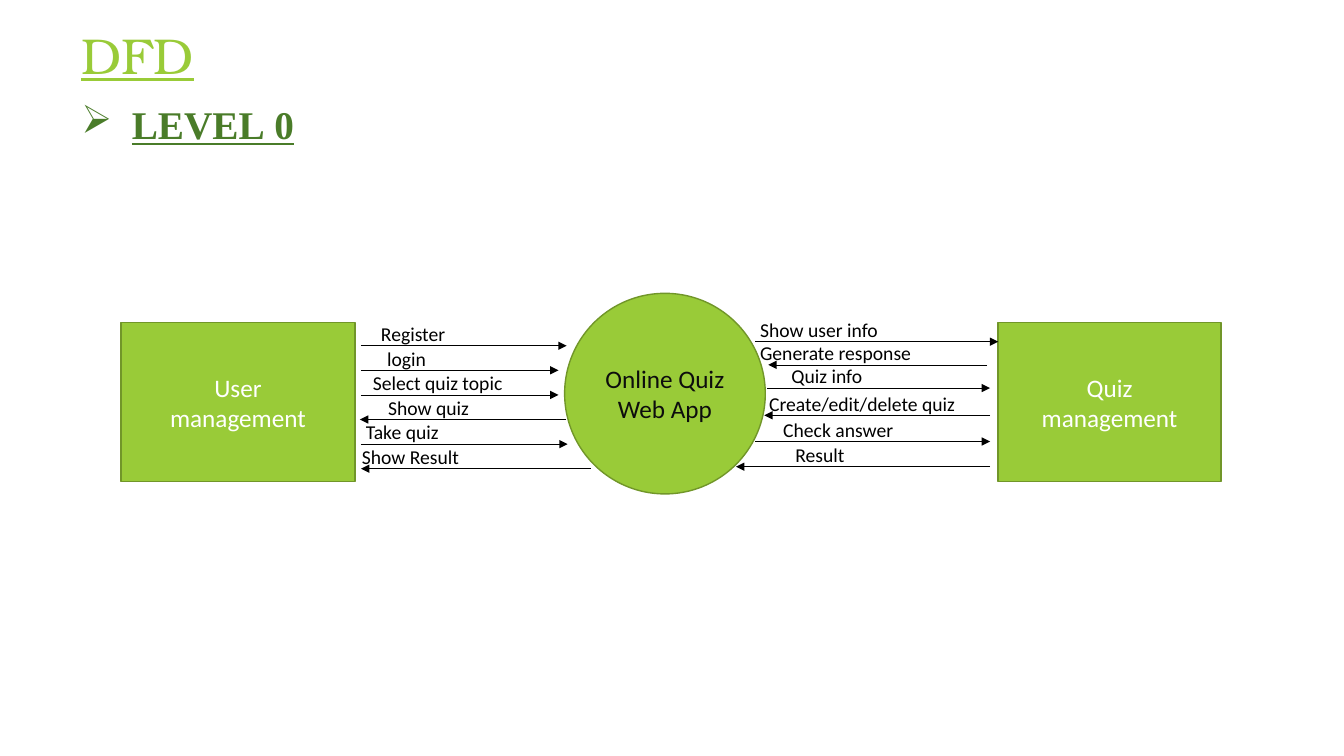
from dataclasses import dataclass
from typing import Any

from lxml.etree import SubElement
from pptx import Presentation
from pptx.dml.color import RGBColor
from pptx.enum.shapes import MSO_CONNECTOR as Connector, MSO_SHAPE as Preset
from pptx.enum.text import MSO_ANCHOR as Anchor, PP_ALIGN as Align
from pptx.oxml.ns import qn
from pptx.util import Inches, Pt

COLUMNS, ROWS = 133.3, 75  # square grid cells
CELL = Inches(0.1)
LABEL_HEIGHT, LABEL_RISE = 3.4, 2.85
LEFT_FIRST_ROW, LEFT_PITCH = 34.3, 2.44

LIME, LIME_EDGE, FOREST = "99CB38", "719629", "4A7C29"
BLACK, NEAR_BLACK, WHITE = "000000", "0D0D0D", "FFFFFF"


@dataclass(frozen=True)
class Area:
    column: float
    row: float
    width: float
    height: float


@dataclass(frozen=True)
class Node:
    lines: tuple[str, ...]
    preset: Preset
    area: Area
    text_color: str = WHITE


@dataclass(frozen=True)
class Flow:
    label: str
    row: float
    start: float
    end: float
    label_column: float
    label_width: float


LEFT_FLOWS = [
    Flow(label, LEFT_FIRST_ROW + index * LEFT_PITCH, *columns)
    for index, (label, *columns) in enumerate([
        ("Register", 35.8, 56.2, 36.8, 8.8),
        ("login", 35.8, 55.4, 37.4, 10.1),
        ("Select quiz topic", 35.8, 55.4, 36, 17.3),
        ("Show quiz", 56.1, 35.7, 37.5, 14.2),
        ("Take quiz", 35.8, 56.3, 35.3, 14.5),
        ("Show Result", 58.6, 35.8, 34.9, 14),
    ])
]
RIGHT_FLOWS = [
    Flow("Show user info", 33.9, 74.9, 99, 74.4, 14),
    Flow("Generate response", 36.2, 97.9, 76.2, 74.4, 18.2),
    Flow("Quiz info", 38.5, 76.1, 98.2, 77.5, 13.5),
    Flow("Create/edit/delete quiz", 41.2, 98.2, 75.8, 75.3, 21.3),
    Flow("Check answer", 43.8, 74.9, 98.2, 76.7, 17),
    Flow("Result", 46.3, 98.2, 73, 77.9, 12.4),
]
NODES = [
    Node(("Online Quiz Web App",), Preset.OVAL, Area(56, 29.1, 19.9, 19.9), NEAR_BLACK),
    Node(("User", "management"), Preset.RECTANGLE, Area(12, 32, 23.2, 15.8)),
    Node(("Quiz", "management"), Preset.RECTANGLE, Area(99, 32, 22.1, 15.8)),
]


def grid(cells: float) -> int:
    return round(cells * CELL)


def bounds(area: Area) -> tuple[int, ...]:
    return tuple(map(grid, (area.column, area.row, area.width, area.height)))


def rgb(color: str) -> RGBColor:
    return RGBColor.from_string(color)


def add_run(paragraph: Any, text: str, color: str, size: float, **font_format: Any) -> None:
    run = paragraph.add_run()
    run.text = text
    run.font.color.rgb = rgb(color)
    for attribute, value in ({"name": "Calibri", "size": Pt(size)} | font_format).items():
        setattr(run.font, attribute, value)


def add_text_area(slide: Any, area: Area) -> Any:
    """Add a wrapping text box and return its first paragraph."""
    frame = slide.shapes.add_textbox(*bounds(area)).text_frame
    frame.word_wrap = True
    return frame.paragraphs[0]


def add_headings(slide: Any) -> None:
    title = add_text_area(slide, Area(7.1, 2.6, 27, 6.9))
    title.line_spacing = 0.9
    add_run(title, "DFD", LIME, 36, name="TeX Gyre Bonum", underline=True)

    level = add_text_area(slide, Area(7.1, 9.5, 25.1, 5.7))
    properties = level._p.get_or_add_pPr()
    properties.set("marL", str(grid(5)))
    properties.set("indent", str(grid(-5)))
    SubElement(properties, qn("a:buChar"), char="➢")
    for text, bold in (("LEVEL", True), (" ", False), ("0", True)):
        add_run(level, text, FOREST, 28, name="Times New Roman", bold=bold, underline=True)


def add_node(slide: Any, node: Node) -> None:
    shape = slide.shapes.add_shape(node.preset, *bounds(node.area))
    shape.shadow.inherit = False
    shape.fill.solid()
    shape.fill.fore_color.rgb = rgb(LIME)
    shape.line.color.rgb = rgb(LIME_EDGE)
    shape.line.width = Pt(1)
    frame = shape.text_frame
    frame.word_wrap = True
    frame.vertical_anchor = Anchor.MIDDLE
    for index, line in enumerate(node.lines):
        paragraph = frame.add_paragraph() if index else frame.paragraphs[0]
        paragraph.alignment = Align.CENTER
        add_run(paragraph, line, node.text_color, 18)


def add_flow(slide: Any, flow: Flow) -> None:
    """Draw an arrow with its label just above it."""
    row = grid(flow.row)
    arrow = slide.shapes.add_connector(
        Connector.STRAIGHT, grid(flow.start), row, grid(flow.end), row)
    arrow.line.color.rgb = rgb(BLACK)
    arrow.line.width = Pt(0.5)
    SubElement(arrow.line._get_or_add_ln(), qn("a:tailEnd"), type="triangle")
    SubElement(arrow._element.spPr, qn("a:effectLst"))

    label = add_text_area(
        slide, Area(flow.label_column, flow.row - LABEL_RISE, flow.label_width, LABEL_HEIGHT))
    add_run(label, flow.label, BLACK, 14)


def main() -> None:
    deck = Presentation()
    deck.slide_width, deck.slide_height = grid(COLUMNS), grid(ROWS)
    slide = deck.slides.add_slide(deck.slide_layouts[6])
    add_headings(slide)
    for node in NODES:
        add_node(slide, node)
    for flow in LEFT_FLOWS + RIGHT_FLOWS:
        add_flow(slide, flow)
    deck.save("out.pptx")


if __name__ == "__main__":
    main()
